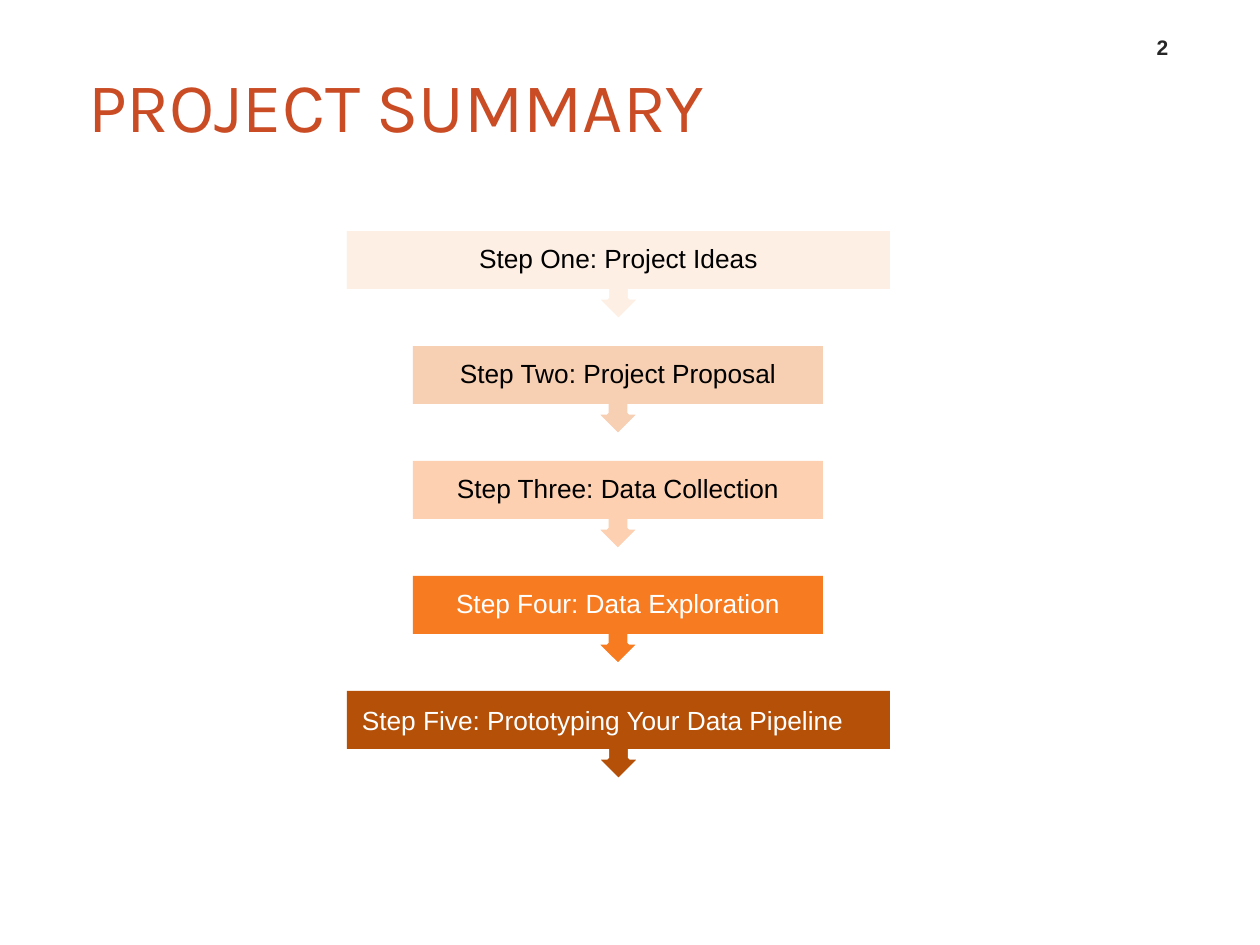
from pptx import Presentation
from pptx.dml.color import RGBColor
from pptx.enum.shapes import MSO_SHAPE as Shape
from pptx.enum.text import MSO_ANCHOR as Anchor, MSO_AUTO_SIZE as AutoSize, PP_ALIGN as Align
from pptx.util import Emu, Pt

EMU_PER_PX = 914400 // 126
BLACK = RGBColor(0x00, 0x00, 0x00)
WHITE = RGBColor(0xFF, 0xFF, 0xFF)
CHARCOAL = RGBColor(0x26, 0x26, 0x26)
RUST = RGBColor(0xC9, 0x4C, 0x25)
CREAM = RGBColor(0xFE, 0xEF, 0xE5)
SAND = RGBColor(0xF7, 0xCF, 0xB3)
PEACH = RGBColor(0xFC, 0xD0, 0xB0)
ORANGE = RGBColor(0xF7, 0x7C, 0x21)
BROWN = RGBColor(0xB4, 0x50, 0x07)

CENTRE_X = 618
FIRST_TOP, STEP_PITCH = 231, 115
WIDE, NARROW = 543, 410
BANNER_HEIGHT, CALLOUT_HEIGHT = 58, 89
STEPS = [
    ("Step One: Project Ideas", WIDE, CREAM, BLACK, Align.CENTER),
    ("Step Two: Project Proposal", NARROW, SAND, BLACK, Align.CENTER),
    ("Step Three: Data Collection", NARROW, PEACH, BLACK, Align.CENTER),
    ("Step Four: Data Exploration", NARROW, ORANGE, WHITE, Align.CENTER),
    ("Step Five: Prototyping Your Data Pipeline", WIDE, BROWN, WHITE, Align.LEFT),
]


def px(*lengths):
    return [Emu(length * EMU_PER_PX) for length in lengths]


class SlideBuilder:
    """Holds the text style and the slide being filled."""

    body_font = "Arial"
    title_font = "Karla"

    def __init__(self, slide):
        self.slide = slide

    def set_text(self, frame, text, size, color, align, anchor, font=None, bold=False):
        frame.word_wrap = True
        frame.auto_size = AutoSize.NONE
        frame.vertical_anchor = anchor
        frame.text = text
        para = frame.paragraphs[0]
        para.alignment = align
        para.font.name = font or self.body_font
        para.font.size = Pt(size)
        para.font.bold = bold
        para.font.color.rgb = color
        return para

    def title(self, text, left, top, width, height):
        box = self.slide.shapes.title
        box.left, box.top, box.width, box.height = px(left, top, width, height)
        frame = box.text_frame
        frame.margin_left, frame.margin_right = px(25, 0)
        self.set_text(frame, text, 40, RUST, Align.LEFT, Anchor.MIDDLE, self.title_font)

    def page_number(self, text, left, top, width, height):
        box = self.slide.shapes.add_textbox(*px(left, top, width, height))
        self.set_text(box.text_frame, text, 12, CHARCOAL, Align.CENTER, Anchor.BOTTOM, bold=True)

    def shape(self, kind, left, top, width, height, fill):
        shape = self.slide.shapes.add_shape(kind, *px(left, top, width, height))
        shape.shadow.inherit = False
        shape.fill.solid()
        shape.fill.fore_color.rgb = fill
        shape.line.fill.background()
        return shape

    def step(self, top, text, width, fill, color, align):
        """Draws a down-pointing callout with a labelled banner over its body."""
        left = CENTRE_X - width // 2
        callout = self.shape(Shape.UP_ARROW_CALLOUT, left, top, width, CALLOUT_HEIGHT, fill)
        callout.rotation = 180
        callout.line.color.rgb = WHITE
        callout.line.width = Pt(2)

        banner = self.shape(Shape.RECTANGLE, left, top, width, BANNER_HEIGHT, fill)
        frame = banner.text_frame
        (frame.margin_left, frame.margin_top,
         frame.margin_right, frame.margin_bottom) = px(15, 15, 15, 15)
        para = self.set_text(frame, text, 15, color, align, Anchor.MIDDLE)
        if align == Align.CENTER:
            para.line_spacing = 0.9


def main():
    deck = Presentation()
    deck.slide_width, deck.slide_height = px(1260, 945)
    page = SlideBuilder(deck.slides.add_slide(deck.slide_layouts[5]))
    page.title("PROJECT SUMMARY", 63, 50, 672, 110)
    page.page_number("2", 1128, 24, 69, 42)
    for index, step in enumerate(STEPS):
        page.step(FIRST_TOP + index * STEP_PITCH, *step)
    deck.save("out.pptx")


if __name__ == "__main__":
    main()
